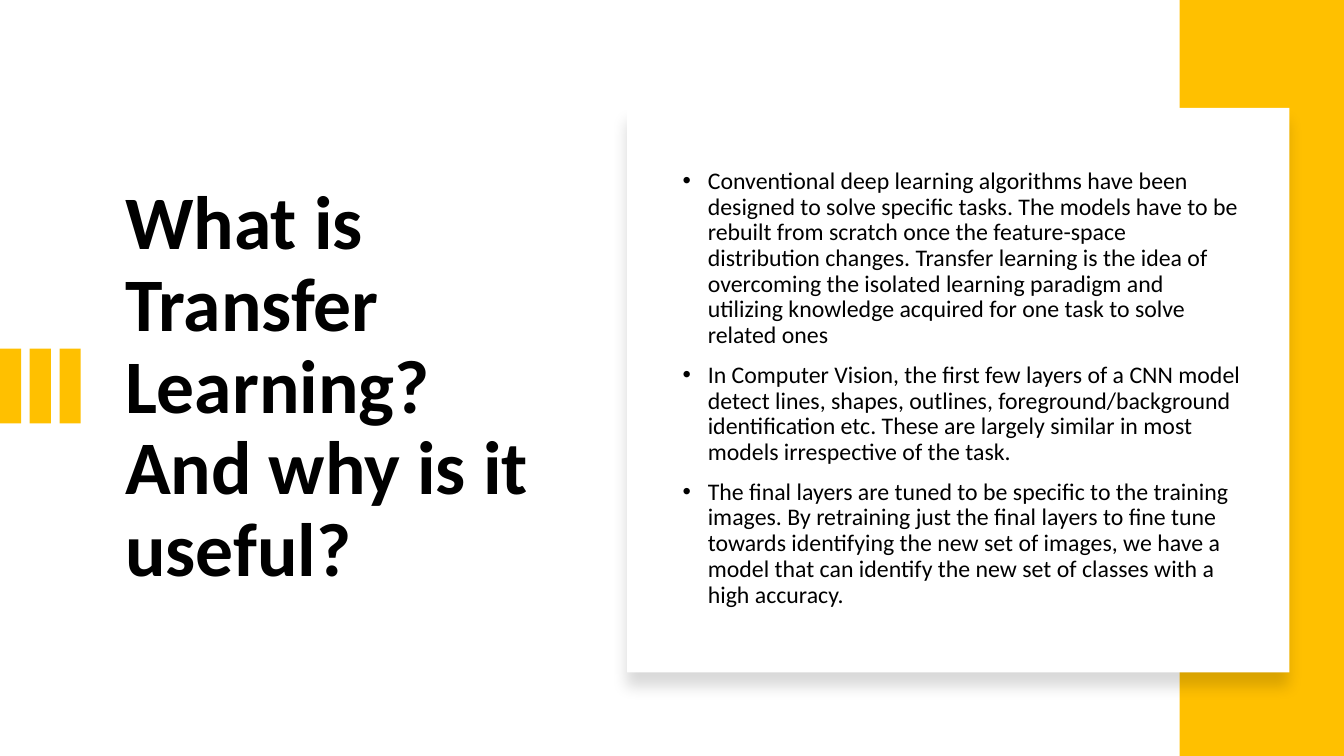
from lxml import etree
from pptx import Presentation
from pptx import util as u
from pptx.dml.color import RGBColor
from pptx.enum import shapes, text
from pptx.oxml import ns

COLORS = {"accent": "FFC000", "paper": "FFFFFF", "ink": "000000"}
FONT = "Calibri"
TITLE = "What is Transfer Learning? And why is it useful?"
POINTS = [
    "Conventional deep learning algorithms have been designed to solve specific tasks. "
    "The models have to be rebuilt from scratch once the feature-space distribution changes. "
    "Transfer learning is the idea of overcoming the isolated learning paradigm and "
    "utilizing knowledge acquired for one task to solve related ones",
    "In Computer Vision, the first few layers of a CNN model detect lines, shapes, outlines, "
    "foreground/background identification etc. These are largely similar in most models "
    "irrespective of the task.",
    "The final layers are tuned to be specific to the training images. By retraining just the "
    "final layers to fine tune towards identifying the new set of images, we have a model that "
    "can identify the new set of classes with a high accuracy.",
]


def place(sp, x, y, w, h):
    sp.left, sp.top, sp.width, sp.height = (u.Inches(v) for v in (x, y, w, h))


def add_rect(parent, x, y, w, h, color):
    sp = parent.add_shape(shapes.MSO_SHAPE.RECTANGLE, *(u.Inches(v) for v in (x, y, w, h)))
    sp.shadow.inherit = False
    sp.fill.solid()
    sp.fill.fore_color.rgb = RGBColor.from_string(COLORS[color])
    sp.line.fill.background()
    return sp


def add_drop_shadow(sp, blur, dist, opacity):
    effects = sp.element.spPr.find(ns.qn("a:effectLst"))
    shadow = etree.SubElement(effects, ns.qn("a:outerShdw"), blurRad=str(u.Pt(blur)),
                              dist=str(u.Pt(dist)), dir="5400000", algn="t", rotWithShape="0")
    color = etree.SubElement(shadow, ns.qn("a:srgbClr"), val=COLORS["ink"])
    etree.SubElement(color, ns.qn("a:alpha"), val=str(opacity * 1000))


def set_bullet(p, indent):
    pPr = p._p.get_or_add_pPr()
    pPr.set("marL", str(u.Inches(indent)))
    pPr.set("indent", str(-u.Inches(indent)))
    etree.SubElement(pPr, ns.qn("a:buFont"), typeface="Arial")
    etree.SubElement(pPr, ns.qn("a:buChar"), char="•")


def fill_text(sp, lines, size, bold=False, bullets=False):
    tf = sp.text_frame
    tf.word_wrap = True
    tf.auto_size = text.MSO_AUTO_SIZE.NONE
    tf.vertical_anchor = text.MSO_ANCHOR.MIDDLE
    for i, line in enumerate(lines):
        p = tf.add_paragraph() if i else tf.paragraphs[0]
        if bullets:
            set_bullet(p, 0.25)
        p.alignment = text.PP_ALIGN.LEFT
        p.line_spacing = 0.9
        p.space_before = u.Pt(10 if i else 0)
        r = p.add_run()
        r.text = line
        r.font.name, r.font.size, r.font.bold = FONT, u.Pt(size), bold
        r.font.color.rgb = RGBColor.from_string(COLORS["ink"])


def add_title(s, x, y, w, h):
    place(s.shapes.title, x, y, w, h)
    fill_text(s.shapes.title, [TITLE], 54, bold=True)


def add_bars(s, x, y, w, h, count=3, bar=0.21):
    group = s.shapes.add_group_shape()
    step = (w - bar) / (count - 1)
    for i in range(count):
        add_rect(group.shapes, x + i * step, y, bar, h, "accent")


def add_card(s, x, y, w, h):
    card = add_rect(s.shapes, x, y, w, h, "paper")
    add_drop_shadow(card, blur=11, dist=10, opacity=15)
    body = s.placeholders[1]
    place(body, x + 0.45, y + 0.39, w - 0.82, h - 0.81)
    fill_text(body, POINTS, 17, bullets=True)
    card.element.addnext(body.element)  # text in front of the card


def main():
    prs = Presentation()
    prs.slide_width, prs.slide_height = u.Inches(13.33), u.Inches(7.5)
    s = prs.slides.add_slide(prs.slide_layouts[1])
    add_title(s, 1.14, 1.46, 4.26, 4.79)
    add_bars(s, 0, 3.46, 0.8, 0.74)
    add_rect(s.shapes, 11.7, 0, 1.63, 7.5, "accent")  # right band
    add_card(s, 6.22, 1.07, 6.57, 5.6)
    prs.save("out.pptx")


if __name__ == "__main__":
    main()
